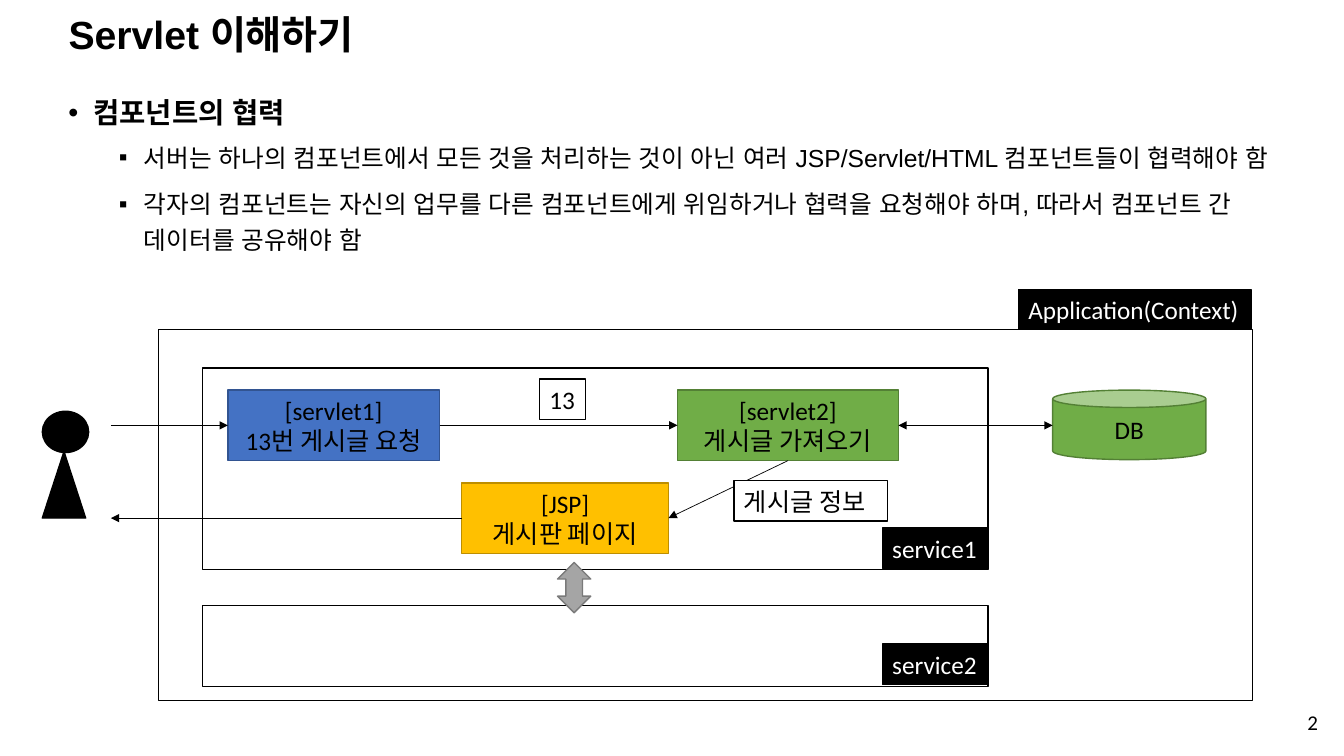
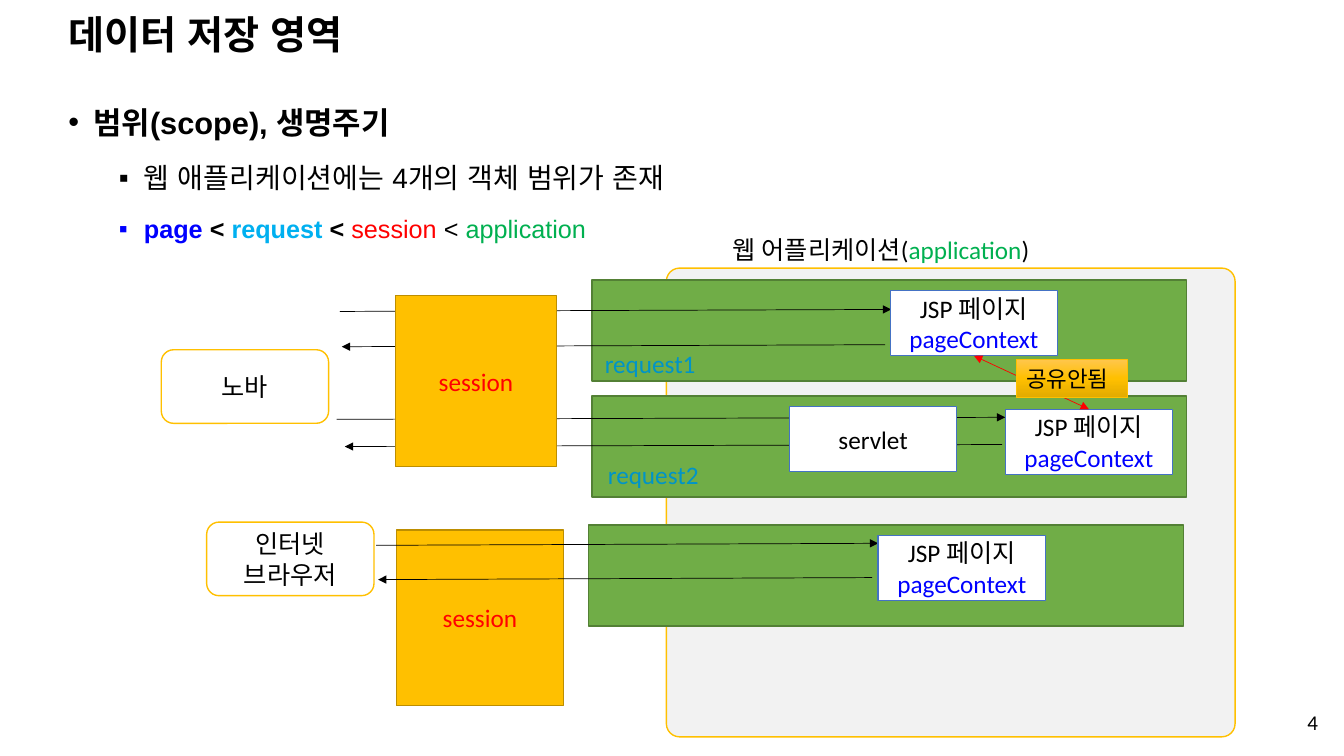
from copy import deepcopy
from lxml.etree import SubElement
from pptx import Presentation
from pptx.dml.color import RGBColor
from pptx.enum.shapes import MSO_CONNECTOR, MSO_SHAPE
from pptx.enum.text import MSO_ANCHOR, MSO_AUTO_SIZE, PP_ALIGN
from pptx.oxml.ns import qn
from pptx.util import Inches, Pt

BLACK = RGBColor(0x00, 0x00, 0x00)
WHITE = RGBColor(0xFF, 0xFF, 0xFF)
PALE = RGBColor(0xF2, 0xF2, 0xF2)
GRAY = RGBColor(0xA5, 0xA5, 0xA5)
DIM = RGBColor(0x7A, 0x7A, 0x7A)
BLUE = RGBColor(0x44, 0x72, 0xC4)
NAVY = RGBColor(0x32, 0x54, 0x91)
GREEN = RGBColor(0x70, 0xAD, 0x47)
MOSS = RGBColor(0x53, 0x80, 0x35)
GOLD = RGBColor(0xFF, 0xC0, 0x00)
BROWN = RGBColor(0xBD, 0x8E, 0x00)
LIGHT = RGBColor(0xFF, 0xC6, 0x4B)
AMBER = RGBColor(0xE3, 0xAB, 0x00)
RED = RGBColor(0xFF, 0x00, 0x00)
PAGE = RGBColor(0x00, 0x00, 0xFF)
SKY = RGBColor(0x00, 0xB0, 0xF0)
TEAL = RGBColor(0x00, 0x94, 0xC8)
LEAF = RGBColor(0x00, 0xB0, 0x50)

RECT = MSO_SHAPE.RECTANGLE
ROUND = MSO_SHAPE.ROUNDED_RECTANGLE
CENTER, LEFT, RIGHT = PP_ALIGN.CENTER, PP_ALIGN.LEFT, PP_ALIGN.RIGHT


def box(shapes, kind, at, fill=None, edge=None, paras=(), align=CENTER, size=18, fit=False):
    """Add a shape, or a text box if kind is None; paras are lists of (text, colour) runs."""
    place = [Inches(n) for n in at]
    if kind is None:
        shape = shapes.add_textbox(*place)
    else:
        shape = shapes.add_shape(kind, *place)
        shape.shadow.inherit = False
        if fill is None:
            shape.fill.background()
        else:
            shape.fill.solid()
            shape.fill.fore_color.rgb = fill
        shape.line.color.rgb = edge
        shape.line.width = Pt(1)
    frame = shape.text_frame
    frame.word_wrap = not fit
    frame.auto_size = MSO_AUTO_SIZE.SHAPE_TO_FIT_TEXT if fit else MSO_AUTO_SIZE.NONE
    frame.vertical_anchor = MSO_ANCHOR.MIDDLE
    for i, runs in enumerate(paras):
        para = frame.add_paragraph() if i else frame.paragraphs[0]
        para.alignment = align
        for text, color in runs:
            run = para.add_run()
            run.text = text
            run.font.name = "Calibri"
            run.font.size = Pt(size)
            run.font.color.rgb = color
    return shape


def arrow(shapes, start, end, color=BLACK, both=False):
    """Draw an arrow; each end is a point (x, y) or a pair (shape, side)."""
    line = shapes.add_connector(MSO_CONNECTOR.STRAIGHT, 0, 0, 0, 0)
    if isinstance(start[0], float):
        line.begin_x, line.begin_y = [Inches(n) for n in start]
    else:
        line.begin_connect(*start)
    if isinstance(end[0], float):
        line.end_x, line.end_y = [Inches(n) for n in end]
    else:
        line.end_connect(*end)
    line.line.color.rgb = color
    line.line.width = Pt(0.5)
    stroke = line.line._get_or_add_ln()
    if both:
        SubElement(stroke, qn("a:headEnd"), type="triangle")
    SubElement(stroke, qn("a:tailEnd"), type="triangle")
    SubElement(line._element.spPr, qn("a:effectLst"))


# Bullets: level, size, space after, runs of (text, colour, bold)
HEADS = [
    ("Servlet 이해하기", "2", 1.2, [
        (0, 20.4, 0, [("컴포넌트의 협력", BLACK, True)]),
        (1, 17.6, 3, [("서버는 하나의 컴포넌트에서 모든 것을 처리하는 것이 아닌 여러 "
                       "JSP/Servlet/HTML 컴포넌트들이 협력해야 함", BLACK, False)]),
        (1, 17.6, 3, [("각자의 컴포넌트는 자신의 업무를 다른 컴포넌트에게 위임하거나 협력을 "
                       "요청해야 하며, 따라서 컴포넌트 간 데이터를 공유해야 함", BLACK, False)]),
    ]),
    ("데이터 저장 영역", "4", 1.4, [
        (0, 22, 0, [("범위(scope), 생명주기", BLACK, True)]),
        (1, 20, 0, [("웹 애플리케이션에는 4개의 객체 범위가 존재", BLACK, False)]),
        (1, 18, 0, [("page ", PAGE, True), ("< ", BLACK, True), ("request", SKY, True),
                    (" < ", BLACK, True), ("session", RED, False), (" < ", BLACK, False),
                    ("application", LEAF, False)]),
    ]),
]

deck = Presentation()
deck.slide_width, deck.slide_height = Inches(13.33), Inches(7.5)
boards = []
for name, number, gap, items in HEADS:
    slide = deck.slides.add_slide(deck.slide_layouts[5])
    boards.append(slide.shapes)
    title = slide.shapes.title
    title.left, title.top = Inches(0.58), Inches(0.17)
    title.width, title.height = Inches(11.5), Inches(0.38)
    frame = title.text_frame
    frame.auto_size = MSO_AUTO_SIZE.NONE
    frame.vertical_anchor = MSO_ANCHOR.MIDDLE
    para = frame.paragraphs[0]
    para.alignment = LEFT
    para.line_spacing = 0.9
    run = para.add_run()
    run.text = name
    run.font.size, run.font.bold = Pt(28), True
    run.font.color.rgb = BLACK

    body = box(slide.shapes, None, (0.58, 0.83, 12.14, 2.2)).text_frame
    body.vertical_anchor = MSO_ANCHOR.TOP
    for i, (level, size, after, runs) in enumerate(items):
        para = body.add_paragraph() if i else body.paragraphs[0]
        para.level = level
        para.line_spacing = gap
        para.space_before = Pt(5 if i else 0)
        para.space_after = Pt(after)
        props = para._p.get_or_add_pPr()
        props.set("marL", str(Inches(0.75 if level else 0.25)))
        props.set("indent", str(Inches(-0.25)))
        SubElement(props, qn("a:buFont"), typeface="Arial")
        SubElement(props, qn("a:buChar"), char="▪" if level else "•")
        for text, color, bold in runs:
            run = para.add_run()
            run.text = text
            run.font.size, run.font.bold = Pt(size), bold
            run.font.color.rgb = color

    # Arial for Latin and Korean text alike
    for para in frame.paragraphs + body.paragraphs:
        for run in para.runs:
            run.font.name = "Arial"
            SubElement(run._r.get_or_add_rPr(), qn("a:ea"), typeface="Arial")
    box(slide.shapes, None, (9.42, 6.95, 3.75, 0.42), paras=[[(number, BLACK)]],
        align=RIGHT, size=15)

# Components working together
flow, scope = boards
for frame_at in [(1.57, 3.27, 10.85, 3.68), (2.01, 3.65, 7.79, 2), (2.01, 6.01, 7.79, 0.8)]:
    box(flow, RECT, frame_at, None, BLACK)
steps = []
for at, fill, edge, top, text in [
    ((2.26, 3.87, 2.1, 0.7), BLUE, NAVY, "[servlet1]", "13번 게시글 요청"),
    ((6.72, 3.87, 2.19, 0.7), GREEN, MOSS, "[servlet2]", "게시글 가져오기"),
    ((4.58, 4.79, 2.05, 0.7), GOLD, BROWN, "[JSP]", "게시판 페이지"),
]:
    steps.append(box(flow, RECT, at, fill, edge, [[(top, BLACK)], [(text, BLACK)]]))
ask, fetch, view = steps
box(flow, MSO_SHAPE.CAN, (10.44, 3.87, 1.52, 0.69), GREEN, MOSS, [[("DB", BLACK)]])

arrow(flow, (1.1, 4.22), (ask, 1))
arrow(flow, (ask, 3), (fetch, 1))
arrow(flow, (fetch, 2), (view, 3))
arrow(flow, (fetch, 3), (10.44, 4.22), both=True)
arrow(flow, (view, 1), (1.1, 5.14))

for at, fill, color, text in [
    ((10.1, 2.87, 2.31, 0.4), BLACK, WHITE, "Application(Context)"),
    ((8.75, 5.24, 1.05, 0.4), BLACK, WHITE, "service1"),
    ((8.75, 6.39, 1.05, 0.4), BLACK, WHITE, "service2"),
    ((5.35, 3.76, 0.46, 0.4), WHITE, BLACK, "13"),
    ((7.28, 4.77, 1.52, 0.4), WHITE, BLACK, "게시글 정보"),
]:
    box(flow, RECT, at, fill, BLACK, [[(text, color)]], LEFT, fit=True)
user = flow.add_group_shape().shapes
box(user, MSO_SHAPE.OVAL, (0.42, 4.08, 0.46, 0.41), BLACK, BLACK)
box(user, MSO_SHAPE.ISOSCELES_TRIANGLE, (0.42, 4.48, 0.43, 0.66), BLACK, BLACK)
box(flow, MSO_SHAPE.UP_DOWN_ARROW, (5.53, 5.58, 0.33, 0.5), GRAY, DIM)

# Scopes and their life cycle
for x, y, lines in [(1.6, 3.47, ["노바"]), (2.05, 5.18, ["인터넷", "브라우저"])]:
    box(scope, ROUND, (x, y, 1.66, 0.73), WHITE, GOLD, [[(text, BLACK)] for text in lines])
area = box(scope, ROUND, (6.61, 2.66, 5.64, 4.65), PALE, GOLD)
area.adjustments[0] = 0.028
box(scope, None, (7.17, 2.27, 3.48, 0.4), align=LEFT,
    paras=[[("웹 어플리케이션(", BLACK), ("application", LEAF), (")", BLACK)]])
for x, y in [(5.87, 2.78), (5.87, 3.93), (5.84, 5.21)]:
    box(scope, RECT, (x, y, 5.9, 1), GREEN, MOSS)
box(scope, RECT, (3.93, 5.26, 1.66, 1.74), GOLD, BROWN, [[("session", RED)]])

for start, end in [
    ((3.37, 3.09), (8.84, 3.07)), ((8.78, 3.42), (3.39, 3.44)),
    ((3.34, 4.16), (9.97, 4.14)), ((9.94, 4.41), (3.42, 4.43)),
    ((3.73, 5.41), (8.71, 5.39)), ((8.65, 5.73), (3.75, 5.75)),
]:
    arrow(scope, start, end)

box(scope, RECT, (7.83, 4.03, 1.66, 0.65), WHITE, BLUE, [[("servlet", BLACK)]])
box(scope, RECT, (3.92, 2.93, 1.6, 1.7), GOLD, BROWN, [[("session", RED)]])
pages = []
for x, y in [(8.83, 2.88), (9.97, 4.06), (8.71, 5.31)]:
    pages.append(box(scope, RECT, (x, y, 1.66, 0.65), WHITE, BLUE,
                     [[("JSP 페이지", BLACK)], [("pageContext", PAGE)]]))
for x, y, text in [(5.9, 3.41, "request1"), (5.93, 4.51, "request2")]:
    box(scope, None, (x, y, 1.11, 0.4), paras=[[(text, TEAL)]], align=LEFT, fit=True)

arrow(scope, (pages[1], 0), (pages[0], 2), RED, both=True)
note = box(scope, RECT, (10.08, 3.57, 1.1, 0.37), GOLD, GOLD,
           [[("공유안됨", BLACK)]], LEFT, 16, fit=True)
note.line.width = Pt(0.5)
note.fill.gradient()
note.fill.gradient_angle = 270
first, last = note.fill.gradient_stops
first.color.rgb, first.position = GOLD, 0.5
last.color.rgb, last.position = AMBER, 1
stop = note._element.spPr.find(".//" + qn("a:gs"))
stop.addprevious(deepcopy(stop))
start = note.fill.gradient_stops[0]
start.color.rgb, start.position = LIGHT, 0

deck.save("out.pptx")
